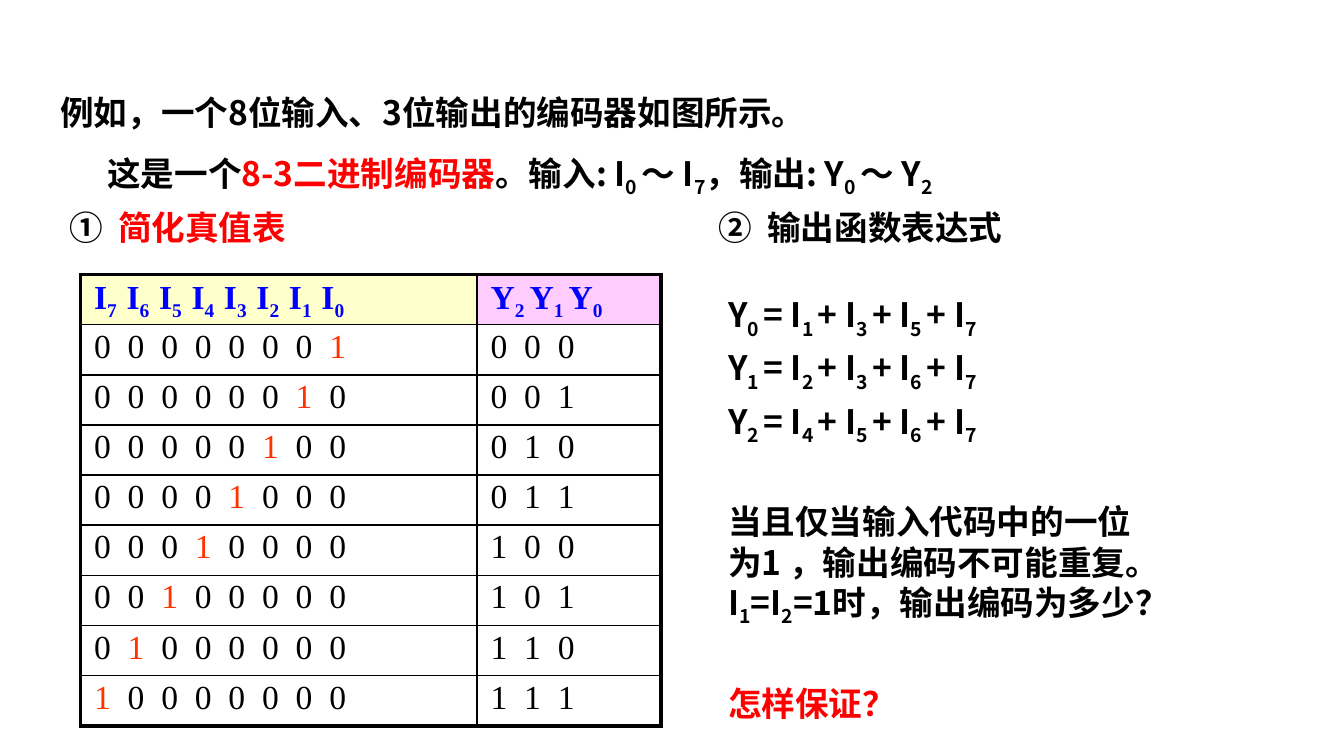
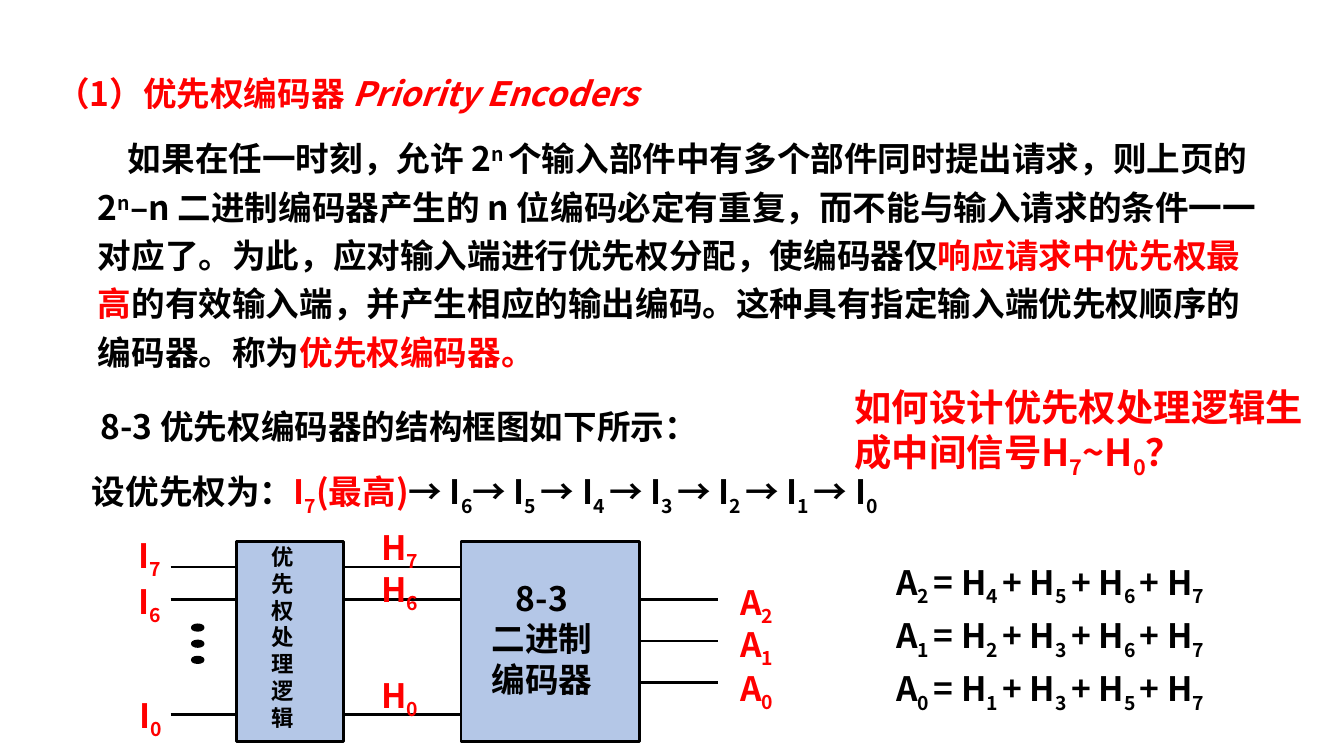
from lxml import etree
from pptx import Presentation
from pptx import util as u
from pptx.dml.color import RGBColor
from pptx.enum import shapes, text
from pptx.oxml.ns import qn

Pt = u.Pt
INK = {"black": "000000", "red": "FF0000", "hot": "FF3300", "blue": "0000FF",
       "cream": "FFFFCC", "pink": "FFCCFF", "white": "FFFFFF", "box": "B4C7E7"}
SANS, SERIF = "Noto Sans CJK JP", "Times New Roman"
BASE = {"_": "-25000", "^": "30000"}


def rgb(name):
    return RGBColor.from_string(INK[name])


def split(line):
    """Yield (text, accent, italic, base); * and / toggle, _ and ^ shift a sign."""
    buf, accent, slant, i = "", False, False, 0
    while i < len(line):
        sign = line[i]
        if sign in "*/_^":
            if buf:
                yield buf, accent, slant, None
            buf = ""
            if sign == "*":
                accent = not accent
            elif sign == "/":
                slant = not slant
            else:
                i += 1
                part = line[i]
                if line[i + 1:i + 2] == " ":  # a space after an index is small too
                    part += " "
                    i += 1
                yield part, accent, slant, BASE[sign]
        else:
            buf += sign
        i += 1
    if buf:
        yield buf, accent, slant, None


def write(para, line, size=18, face=SANS, ink="black", accent="red", bold=True, tabs=()):
    """Fill one paragraph run by run."""
    if tabs:
        stops = etree.SubElement(para._p.get_or_add_pPr(), qn("a:tabLst"))
        for pos in tabs:
            etree.SubElement(stops, qn("a:tab"), pos=str(Pt(pos)), algn="l")
    for part, lit, slant, base in split(line):
        run = para.add_run()
        run.text = part
        font = run.font
        font.size, font.bold, font.name = Pt(size), bold, face
        font.color.rgb = rgb(accent if lit else ink)
        if slant:
            font.italic = True
        props = run._r.get_or_add_rPr()
        etree.SubElement(props, qn("a:ea"), typeface=face)
        if base:
            props.set("baseline", base)


def label(host, x, y, w, h, lines, gaps=(), lead=None, indent=0, mid=False,
          center=False, **style):
    """Add a text box; gaps holds the space before each later line."""
    frame = host.add_textbox(Pt(x), Pt(y), Pt(w), Pt(h)).text_frame
    frame.word_wrap = True
    if mid:
        frame.vertical_anchor = text.MSO_ANCHOR.MIDDLE
    for i, line in enumerate(lines):
        para = frame.add_paragraph() if i else frame.paragraphs[0]
        if indent:
            para._p.get_or_add_pPr().set("indent", str(Pt(indent)))
        write(para, line, **style)
        if lead:
            para.line_spacing = lead
        if center:
            para.alignment = text.PP_ALIGN.CENTER
        if i and gaps:
            para.space_before = Pt(gaps[i - 1])


def wire(host, x1, x2, y):
    line = host.add_connector(shapes.MSO_CONNECTOR.STRAIGHT, Pt(x1), Pt(y), Pt(x2), Pt(y))
    line.line.width = Pt(1.5)
    line.line.color.rgb = rgb("black")
    etree.SubElement(line._element.spPr, qn("a:effectLst"))


def block(host, kind, x, y, w, h, fill):
    item = host.add_shape(kind, Pt(x), Pt(y), Pt(w), Pt(h))
    item.shadow.inherit = False
    item.fill.solid()
    item.fill.fore_color.rgb = rgb(fill)
    item.line.color.rgb = rgb("black")
    item.line.width = Pt(1.5)


def edge(cell, widths):
    """Draw the left, right, top and bottom border of a cell."""
    props = cell._tc.get_or_add_tcPr()
    for i, (side, width) in enumerate(zip("LRTB", widths)):
        line = etree.Element(qn("a:ln" + side), w=str(Pt(width)))
        fill = etree.SubElement(line, qn("a:solidFill"))
        etree.SubElement(fill, qn("a:srgbClr"), val=INK["black"])
        props.insert(i, line)


def truth(host):
    """Add the truth table: one hot input per row, its binary code at right."""
    rows = [("\t".join(f"I_{n}" for n in range(7, -1, -1)),
             "\t".join(f"Y_{n}" for n in (2, 1, 0)))]
    for n in range(8):
        bits = ["*1*" if k == n else "0" for k in range(7, -1, -1)]
        rows.append(("\t".join(bits), "\t".join(f"{n:03b}")))
    last = len(rows) - 1
    frame = host.add_table(len(rows), 2, Pt(43.2), Pt(147), Pt(311), Pt(242))
    grid = frame.table
    grid.columns[0].width, grid.columns[1].width = Pt(212.4), Pt(98.6)
    for r, row in enumerate(rows):
        grid.rows[r].height = Pt(26.88)
        for c, line in enumerate(row):
            cell = grid.cell(r, c)
            head = r == 0
            pitch = (17.4, 20.9)[c] if head else 18
            cell.vertical_anchor = text.MSO_ANCHOR.MIDDLE
            cell.margin_top = cell.margin_bottom = Pt(3.6)
            cell.fill.solid()
            cell.fill.fore_color.rgb = rgb(("cream", "pink")[c] if head else "white")
            edge(cell, [2.25 if rim else 1 for rim in (c == 0, c == 1, head, r == last)])
            para = cell.text_frame.paragraphs[0]
            write(para, line, face=SERIF, ink="blue" if head else "black", accent="hot",
                  bold=head, tabs=[pitch * k for k in range(1, 8)])
            para.line_spacing = 0.75


def sums(out, term, table):
    """Return equations such as Y_0 = I_1 + I_3."""
    return [f"{out}_{n} = " + " + ".join(f"{term}_{k}" for k in ins) for n, ins in table]


ORS = {0: "1357", 1: "2367", 2: "4567"}


def coder(slide):
    host = slide.shapes
    label(host, 25.2, 48.2, 641, 40, ["例如，一个8位输入、3位输出的编码器如图所示。"], lead=0.9)
    label(host, 50.4, 78.5, 658, 32,
          ["这是一个*8-3二进制编码器*。输入: I_0 〜 I_7，输出: Y_0 〜 Y_2"], lead=0.9)
    truth(host)
    for x, line in ((30.2, "①\t*简化真值表*"), (378, "②\t输出函数表达式")):
        label(host, x, 107.3, 240, 29, [line], tabs=[26])
    # Equations and questions
    label(host, 383, 154, 246.2, 244,
          sums("Y", "I", ORS.items())
          + ["当且仅当输入代码中的一位为1 ，输出编码不可能重复。I_1=I_2=1时，输出编码为多少？",
             "*怎样保证？*"],
          gaps=[4, 4, 29.4, 29.4])


def scheme(host):
    """Draw the block diagram."""
    rect, oval = shapes.MSO_SHAPE.RECTANGLE, shapes.MSO_SHAPE.OVAL
    for y in (303.8, 321.1, 383):
        wire(host, 91.4, 127.4, y)
        wire(host, 180.7, 247, y)
    for i in range(3):
        wire(host, 342.7, 384.5, 321.1 + 22.3 * i)
        block(host, oval, 103, 334.8 + 8.64 * i, 5.8, 2.9, "black")
    # Signal names
    for x, y, lines in ((67, 283, ["I_7", "I_6"]), (67.7, 368.6, ["I_0"]),
                        (197.3, 278.6, ["H_7"]), (197.3, 301, ["H_6"]),
                        (197.3, 357.8, ["H_0"]), (389.5, 308.2, ["A_2"]),
                        (389.5, 330.5, ["A_1"]), (389.5, 354.2, ["A_0"])):
        label(host, x, y, 44, 30 * len(lines), lines, ink="red")
    # Blocks
    block(host, rect, 126.9, 290, 57, 107.3, "box")
    label(host, 138.2, 287.3, 28.1, 109.4, list("优先权处理逻辑"), size=12)
    block(host, rect, 247, 290, 95.8, 107.3, "box")
    label(host, 255, 306, 70.6, 73.4, ["8-3", "二进制", "编码器"], center=True)


def rank(slide):
    host = slide.shapes
    label(host, 23, 38.2, 657, 50, ["（1）优先权编码器 /Priority Encoders/"],
          ink="red", lead=0.9)
    label(host, 45.4, 66.2, 638, 120,
          ["如果在任一时刻，允许 2^n 个输入部件中有多个部件同时提出请求，则上页的 2^n–n "
           "二进制编码器产生的 n 位编码必定有重复，而不能与输入请求的条件一一对应了。"
           "为此，应对输入端进行优先权分配，使编码器仅*响应请求中优先权最高*的有效输入端，"
           "并产生相应的输出编码。这种具有指定输入端优先权顺序的编码器。称为*优先权编码器。*"],
          lead=1.2, indent=16)
    label(host, 46.8, 211, 612, 34, ["8-3 优先权编码器的结构框图如下所示："], mid=True)
    order = "→ I_6→ " + "→ ".join(f"I_{n} " for n in range(5, 0, -1)) + "→ I_0"
    label(host, 42.2, 249, 670, 28, ["设优先权为：*I_7(最高)*" + order])
    scheme(host.add_group_shape().shapes)
    # Equations and question
    label(host, 473, 297.4, 242, 81, sums("A", "H", reversed(ORS.items())), gaps=[4, 4])
    label(host, 450.7, 202.3, 260, 56, ["如何设计优先权处理逻辑生成中间信号H_7~H_0？"],
          size=20, ink="red")


def main():
    deck = Presentation()
    deck.slide_width, deck.slide_height = Pt(720), Pt(405)
    for build in (coder, rank):
        build(deck.slides.add_slide(deck.slide_layouts[6]))
    deck.save("out.pptx")


if __name__ == "__main__":
    main()
